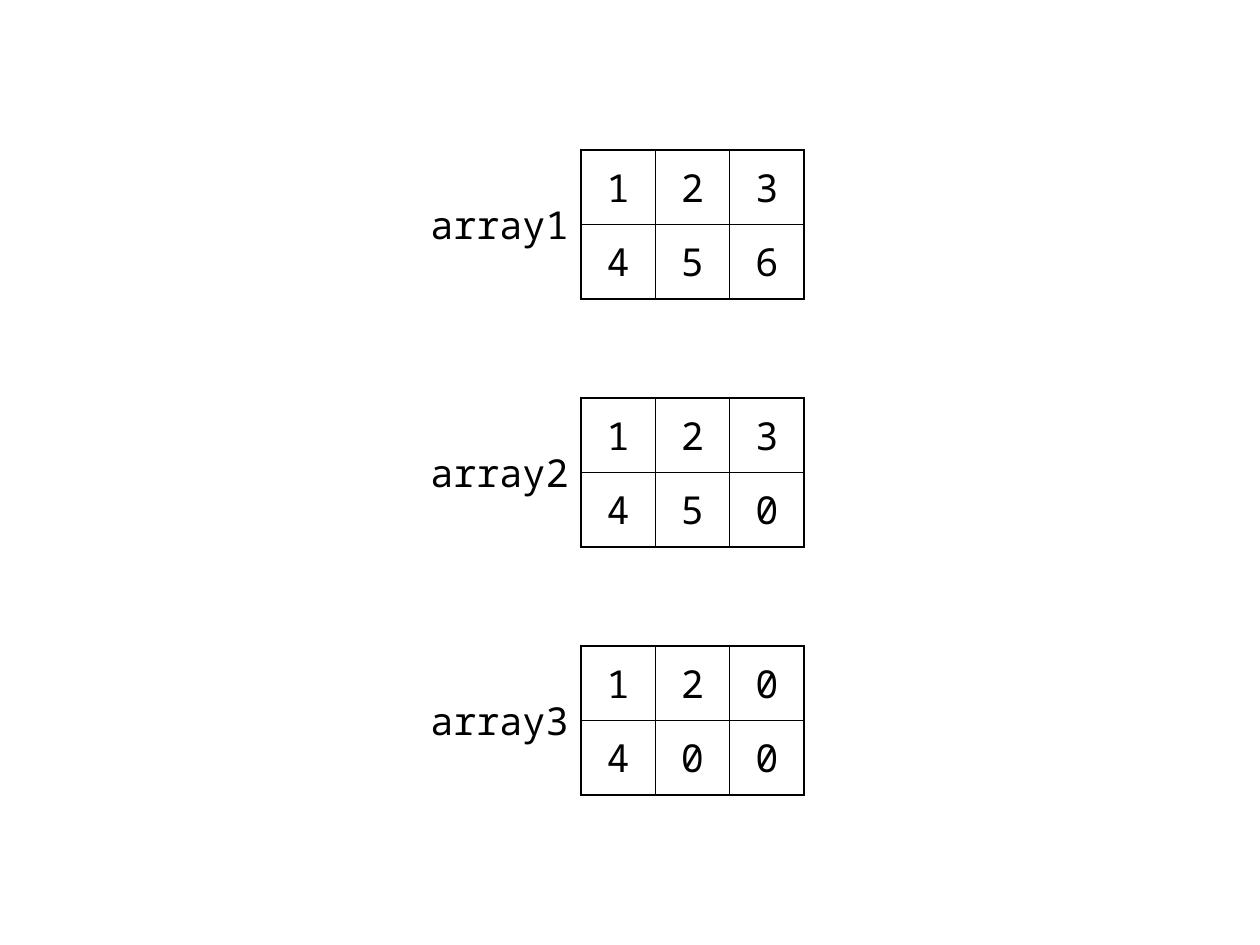
"""Draw three labelled 2 by 3 number arrays as tables on one slide."""
from dataclasses import dataclass

from lxml import etree
from pptx import Presentation
from pptx import util as u
from pptx.dml.color import RGBColor
from pptx.enum import text
from pptx.oxml import ns

BLACK = RGBColor(0, 0, 0)
FONT_FORMAT = {"name": "Noto Sans Mono", "size": u.Pt(22)}
CELL_SIZE = 42.5
TABLE_LEFT, FIRST_TOP, TABLE_STEP = 332, 85.7, 141.75
LABEL_WIDTH, LABEL_HEIGHT = 99.4, 56.7
OUTER_LINE, INNER_LINE = 1.5, 1
TABLE_FLAGS = {"first_row": False, "horz_banding": False}


@dataclass(frozen=True)
class NumberArray:
    """A label and its rows of digits."""

    label: str
    rows: tuple[str, ...]


ARRAYS = (
    NumberArray("array1", ("123", "456")),
    NumberArray("array2", ("123", "450")),
    NumberArray("array3", ("120", "400")),
)


def write_text(frame, content: str, alignment) -> None:
    """Write one formatted paragraph into a text frame."""
    paragraph = frame.paragraphs[0]
    paragraph.alignment = alignment
    run = paragraph.add_run()
    run.text = content
    for name, value in FONT_FORMAT.items():
        setattr(run.font, name, value)
    run.font.color.rgb = BLACK


def add_border(cell, side: str, width: float) -> None:
    """Add a solid border to one side of a cell."""
    properties = cell._tc.get_or_add_tcPr()
    line = etree.SubElement(properties, ns.qn(f"a:ln{side}"), w=str(u.Pt(width)))
    fill = etree.SubElement(line, ns.qn("a:solidFill"))
    etree.SubElement(fill, ns.qn("a:srgbClr"), val=str(BLACK))


def draw_table(slide, array: NumberArray, top: float) -> None:
    """Draw the digits in a grid with a heavier outer border."""
    row_count, column_count = len(array.rows), len(array.rows[0])
    table = slide.shapes.add_table(
        row_count, column_count, u.Pt(TABLE_LEFT), u.Pt(top),
        u.Pt(column_count * CELL_SIZE), u.Pt(row_count * CELL_SIZE),
    ).table
    for name, value in TABLE_FLAGS.items():
        setattr(table, name, value)
    for row, digits in enumerate(array.rows):
        for column, digit in enumerate(digits):
            cell = table.cell(row, column)
            outer_sides = {
                "L": column == 0,
                "R": column == column_count - 1,
                "T": row == 0,
                "B": row == row_count - 1,
            }
            for side, is_outer in outer_sides.items():
                add_border(cell, side, OUTER_LINE if is_outer else INNER_LINE)
            cell.fill.background()
            cell.vertical_anchor = text.MSO_ANCHOR.MIDDLE
            write_text(cell.text_frame, digit, text.PP_ALIGN.CENTER)


def draw_label(slide, array: NumberArray, top: float) -> None:
    """Draw the name to the left of its table, centred on the table's height."""
    label_top = top + (len(array.rows) * CELL_SIZE - LABEL_HEIGHT) / 2
    shape = slide.shapes.add_textbox(
        u.Pt(TABLE_LEFT - LABEL_WIDTH), u.Pt(label_top),
        u.Pt(LABEL_WIDTH), u.Pt(LABEL_HEIGHT),
    )
    frame = shape.text_frame
    frame.word_wrap = False
    frame.vertical_anchor = text.MSO_ANCHOR.MIDDLE
    write_text(frame, array.label, text.PP_ALIGN.RIGHT)


def main() -> None:
    """Build and save the presentation."""
    presentation = Presentation()
    presentation.slide_width, presentation.slide_height = u.Pt(720), u.Pt(540)
    slide = presentation.slides.add_slide(presentation.slide_layouts[6])
    for index, array in enumerate(ARRAYS):
        top = FIRST_TOP + index * TABLE_STEP
        draw_table(slide, array, top)
        draw_label(slide, array, top)
    presentation.save("out.pptx")


if __name__ == "__main__":
    main()
